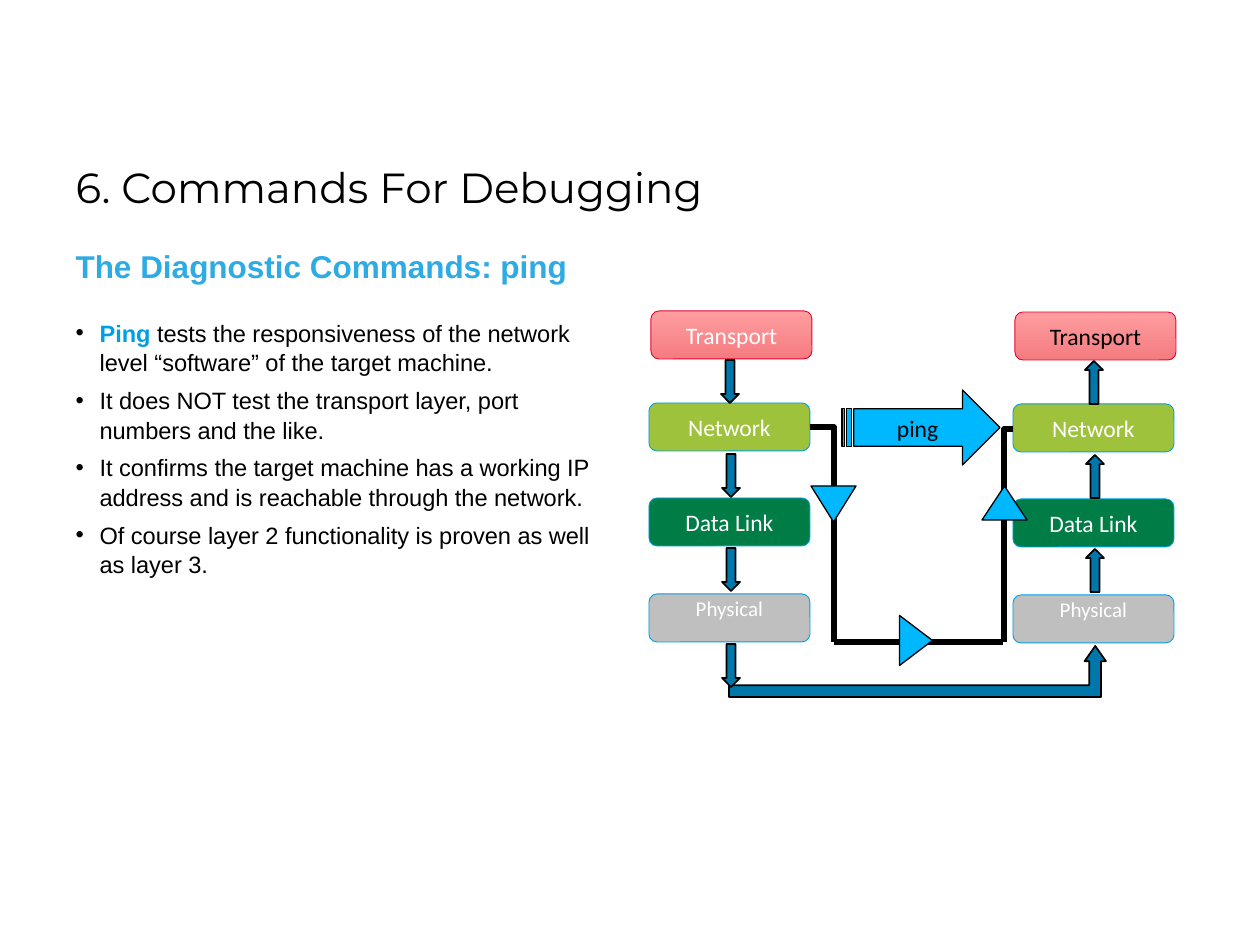
import pptx
import pptx.util
import pptx.dml.color
import pptx.enum.shapes
import pptx.enum.text
import pptx.oxml.ns
from lxml import etree

SHAPES = pptx.enum.shapes.MSO_SHAPE
ALIGN = pptx.enum.text.PP_ALIGN
ANCHOR = pptx.enum.text.MSO_ANCHOR
EMU_PER_PX = 914400 / 126

COLORS = {
    "black": "000000",
    "white": "FFFFFF",
    "heading": "2EABE2",
    "accent": "009FE3",
    "transport": "FE9DA0",
    "transport_end": "F57C80",
    "transport_line": "E4032E",
    "network": "9EC23C",
    "data_link": "007D46",
    "physical": "BFBFBF",
    "arrow": "0077AA",
    "ping": "00B8FF",
}


def px(value):
    return pptx.util.Emu(round(value * EMU_PER_PX))


def color(name):
    return pptx.dml.color.RGBColor.from_string(COLORS[name])


def add_child(parent, tag, **attributes):
    return etree.SubElement(parent, pptx.oxml.ns.qn(tag), attributes)


class SlideBuilder:
    text_font = "Arial"
    label_font = "Calibri"

    def __init__(self, slide):
        self.slide = slide

    def style_font(self, font, name, size, color_name, bold=False):
        font.name = name
        font.size = pptx.util.Pt(size)
        font.bold = bold
        font.color.rgb = color(color_name)

    def placeholder(self, index, left, top, width, height, anchor=ANCHOR.TOP):
        shape = self.slide.placeholders[index]
        shape.left, shape.top, shape.width, shape.height = map(px, (left, top, width, height))
        frame = shape.text_frame
        frame.word_wrap = True
        frame.auto_size = pptx.enum.text.MSO_AUTO_SIZE.NONE
        frame.vertical_anchor = anchor
        return frame

    def heading(self, frame, text, name, size, color_name, bold=False):
        frame.text = text
        paragraph = frame.paragraphs[0]
        paragraph.alignment = ALIGN.LEFT
        paragraph.space_before = pptx.util.Pt(0)
        properties = paragraph._p.get_or_add_pPr()
        properties.set("marL", "0")
        properties.set("indent", "0")
        add_child(properties, "a:buNone")
        self.style_font(paragraph.font, name, size, color_name, bold)

    def bullets(self, frame, items):
        for number, (lead, text) in enumerate(items):
            paragraph = frame.add_paragraph() if number else frame.paragraphs[0]
            paragraph.space_before = pptx.util.Pt(0)
            paragraph.space_after = pptx.util.Pt(4.5)
            paragraph.line_spacing = 1.05
            properties = paragraph._p.get_or_add_pPr()
            properties.set("marL", str(px(24)))
            properties.set("indent", str(px(-24)))
            add_child(add_child(properties, "a:buClr"), "a:srgbClr", val=COLORS["black"])
            add_child(properties, "a:buFont", typeface=self.text_font)
            add_child(properties, "a:buChar", char="•")
            self.style_font(paragraph.font, self.text_font, 13.5, "black")
            if lead:
                run = paragraph.add_run()
                run.text = lead
                run.font.bold = True
                run.font.color.rgb = color("accent")
            paragraph.add_run().text = text

    def shape(self, kind, left, top, width, height, fill, line="black", line_width=1, rotation=0):
        shape = self.slide.shapes.add_shape(kind, *map(px, (left, top, width, height)))
        shape.shadow.inherit = False
        shape.rotation = rotation
        shape.fill.solid()
        shape.fill.fore_color.rgb = color(fill)
        shape.line.color.rgb = color(line)
        shape.line.width = pptx.util.Pt(line_width)
        return shape

    def label(self, shape, text, color_name, size=13.5, anchor=ANCHOR.MIDDLE):
        frame = shape.text_frame
        frame.margin_left = frame.margin_right = px(9)
        frame.margin_top = frame.margin_bottom = px(5)
        frame.vertical_anchor = anchor
        frame.text = text
        paragraph = frame.paragraphs[0]
        paragraph.alignment = ALIGN.CENTER
        self.style_font(paragraph.font, self.label_font, size, color_name)
        return paragraph

    def layer(self, text, left, top, fill, text_color):
        is_transport = fill == "transport"
        line = "transport_line" if is_transport else "accent"
        shape = self.shape(SHAPES.ROUNDED_RECTANGLE, left, top, 161, 48, fill, line, 0.5)
        if is_transport:
            shape.fill.gradient()
            shape.fill.gradient_angle = 270
            for stop, name, position in zip(
                shape.fill.gradient_stops, ("transport", "transport_end"), (0, 1)
            ):
                stop.color.rgb = color(name)
                stop.position = position
        if fill == "physical":
            paragraph = self.label(shape, text, text_color, 12, ANCHOR.TOP)
            paragraph.line_spacing = pptx.util.Pt(11.2)
        else:
            self.label(shape, text, text_color)

    def arrow(self, kind, left, top):
        self.shape(kind, left, top, 18, 43, "arrow")

    def triangle(self, left, top, width, height, rotation):
        self.shape(SHAPES.ISOSCELES_TRIANGLE, left, top, width, height, "ping", "black", 0.75, rotation)

    def connector(self, start, end, bent=False):
        kinds = pptx.enum.shapes.MSO_CONNECTOR
        kind = kinds.ELBOW if bent else kinds.STRAIGHT
        connector = self.slide.shapes.add_connector(kind, *map(px, start + end))
        connector.line.color.rgb = color("black")
        connector.line.width = pptx.util.Pt(3)
        properties = connector._element.spPr
        if bent:
            properties.find(pptx.oxml.ns.qn("a:prstGeom")).set("prst", "bentConnector2")
        add_child(properties, "a:effectLst")


def main():
    presentation = pptx.Presentation()
    presentation.slide_width = pptx.util.Inches(10)
    presentation.slide_height = pptx.util.Inches(7.5)
    builder = SlideBuilder(presentation.slides.add_slide(presentation.slide_layouts[3]))

    title = builder.placeholder(0, 63, 155, 1137, 63, ANCHOR.MIDDLE)
    builder.heading(title, "6. Commands For Debugging", "Montserrat", 24, "black")
    body = builder.placeholder(1, 63, 311, 548, 268)
    builder.bullets(body, [
        ("Ping", " tests the responsiveness of the network level “software” of the target machine."),
        ("", "It does NOT test the transport layer, port numbers and the like."),
        ("", "It confirms the target machine has a working IP address and is reachable through the network."),
        ("", "Of course layer 2 functionality is proven as well as layer 3."),
    ])
    subtitle = builder.placeholder(2, 63, 241, 1137, 50)
    builder.heading(subtitle, "The Diagnostic Commands: ping", "Arial", 18, "heading", True)

    layers = [
        ("Transport", 651, 311, "transport"),
        ("Network", 649, 403, "network"),
        ("Data Link", 649, 498, "data_link"),
        ("Physical", 649, 594, "physical"),
    ]
    stacks = [
        (0, 0, SHAPES.DOWN_ARROW, "white"),
        (364, 1, SHAPES.UP_ARROW, "black"),
    ]
    for shift, drop, arrow_kind, transport_color in stacks:
        for text, left, top, fill in layers:
            text_color = transport_color if fill == "transport" else "white"
            builder.layer(text, left + shift, top + drop, fill, text_color)
        for left, top in ((721, 360), (722, 454), (722, 548)):
            builder.arrow(arrow_kind, left + shift, top + drop)

    return_path = builder.shape(SHAPES.BENT_UP_ARROW, 729, 646, 377, 51, "arrow")
    for index, value in enumerate((0.23, 0.21, 0.3)):
        return_path.adjustments[index] = value
    builder.arrow(SHAPES.DOWN_ARROW, 722, 644)

    ping = builder.shape(SHAPES.STRIPED_RIGHT_ARROW, 842, 390, 158, 75, "ping", "black", 0.75)
    builder.label(ping, "ping", "black", anchor=ANCHOR.TOP)

    builder.connector((810, 427), (834, 642), bent=True)
    builder.connector((1013, 429), (1004, 642), bent=True)
    builder.connector((834, 642), (1003, 642))
    builder.triangle(811, 486, 45, 36, 180)
    builder.triangle(982, 486, 45, 34, 0)
    builder.triangle(891, 624, 50, 33, 90)

    presentation.save("out.pptx")


if __name__ == "__main__":
    main()
